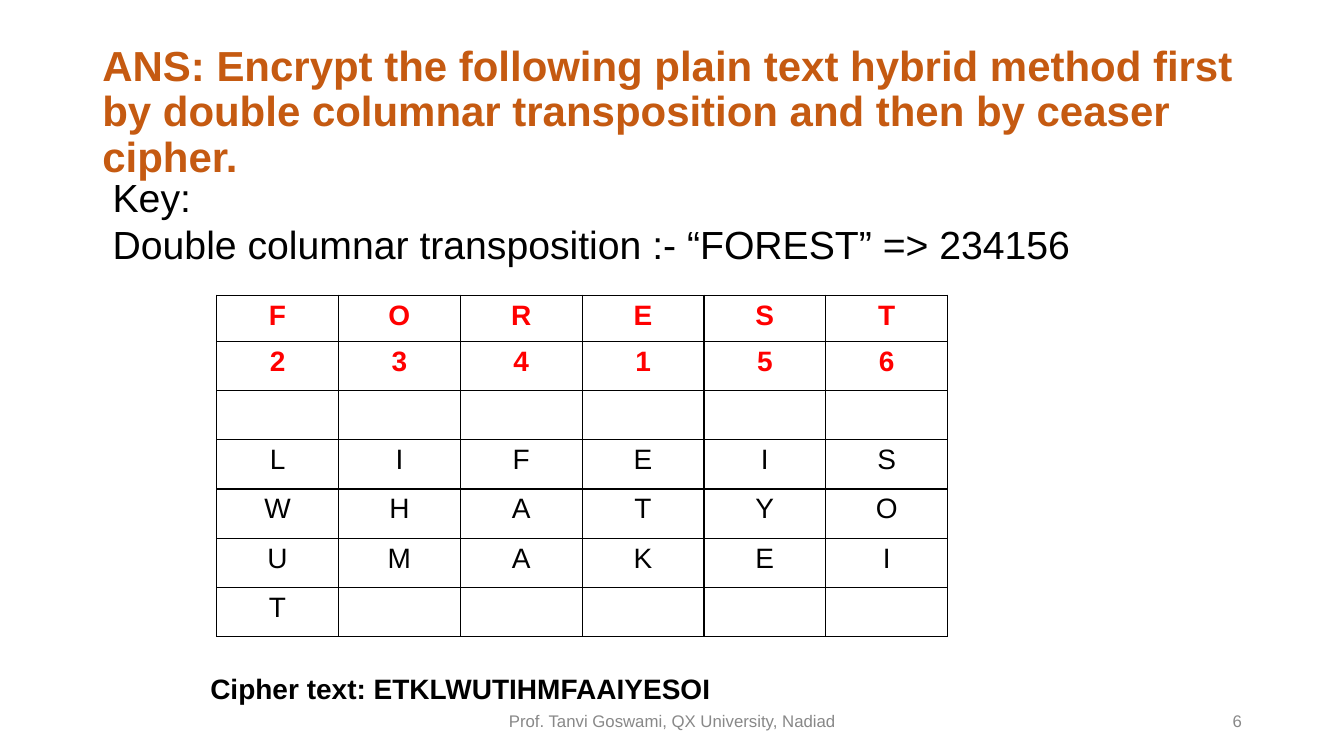
from dataclasses import dataclass

from lxml import etree
from pptx import Presentation
from pptx.dml.color import RGBColor
from pptx.enum.text import MSO_ANCHOR, PP_ALIGN
from pptx.oxml.ns import qn
from pptx.slide import Slide
from pptx.table import _Cell
from pptx.text.text import _Paragraph
from pptx.util import Cm, Pt

LEFT, MID, RIGHT, JUST = PP_ALIGN.LEFT, PP_ALIGN.CENTER, PP_ALIGN.RIGHT, PP_ALIGN.JUSTIFY
TOP, HALF = MSO_ANCHOR.TOP, MSO_ANCHOR.MIDDLE

COLORS = {"title": "C55A11", "key": "FF0000", "text": "000000", "foot": "888888"}
FONT = "Arial"
GRID = ["FOREST", "234156", "", "LIFEIS", "WHATYO", "UMAKEI", "T"]
HEADS = 2
COLS = 6
WIDE, HEAD, TALL = 3.07, 1.16, 1.24


@dataclass
class Style:
    size: float
    color: str
    bold: bool = False
    align: PP_ALIGN = LEFT
    space: float = 1.0


@dataclass
class Box:
    left: float
    top: float
    width: float
    height: float
    lines: list[str]
    style: Style
    anchor: MSO_ANCHOR = HALF


BOXES = [
    Box(2.33, 1.01, 29.21, 3.68,
        ["ANS: Encrypt the following plain text hybrid method first by double "
         "columnar transposition and then by ceaser cipher."],
        Style(30, "title", True, space=0.9)),
    Box(2.59, 4.24, 25.65, 2.64,
        ["Key:", "Double columnar transposition :- “FOREST” => 234156"],
        Style(28, "text", align=JUST)),
    Box(5.05, 16.79, 17.5, 1.11, ["Cipher text: ETKLWUTIHMFAAIYESOI"],
        Style(20, "text", True), TOP),
    Box(11.23, 17.65, 11.43, 1.01, ["Prof. Tanvi Goswami, QX University, Nadiad"],
        Style(12, "foot", align=MID)),
    Box(23.93, 17.65, 7.62, 1.01, ["6"], Style(12, "foot", align=RIGHT)),
]


def write(para: _Paragraph, text: str, style: Style) -> None:
    para.alignment = style.align
    para.line_spacing = style.space
    run = para.add_run()
    run.text = text
    form = {"name": FONT, "size": Pt(style.size), "bold": style.bold}
    for name, value in form.items():
        setattr(run.font, name, value)
    run.font.color.rgb = RGBColor.from_string(COLORS[style.color])


def add_box(slide: Slide, box: Box) -> None:
    shape = slide.shapes.add_textbox(
        Cm(box.left), Cm(box.top), Cm(box.width), Cm(box.height))
    frame = shape.text_frame
    form = {"word_wrap": True, "vertical_anchor": box.anchor}
    for name, value in form.items():
        setattr(frame, name, value)
    for i, line in enumerate(box.lines):
        para = frame.add_paragraph() if i else frame.paragraphs[0]
        write(para, line, box.style)


def rule(cell: _Cell) -> None:
    """Give the cell a thin black border on each side."""
    props = cell._tc.get_or_add_tcPr()
    for i, side in enumerate(("a:lnL", "a:lnR", "a:lnT", "a:lnB")):
        line = etree.Element(qn(side), w=str(Pt(1)))
        fill = etree.SubElement(line, qn("a:solidFill"))
        etree.SubElement(fill, qn("a:srgbClr"), val=COLORS["text"])
        props.insert(i, line)


def add_grid(slide: Slide) -> None:
    rows = len(GRID)
    frame = slide.shapes.add_table(
        rows, COLS, Cm(5.46), Cm(7.44), Cm(WIDE * COLS), Cm(HEAD + TALL * (rows - 1)))
    table = frame.table
    for name in ("first_row", "horz_banding"):
        setattr(table, name, False)
    for col in table.columns:
        col.width = Cm(WIDE)
    form = {"margin_left": Cm(0.18), "margin_right": Cm(0.18),
            "margin_top": 0, "margin_bottom": 0}
    for r, word in enumerate(GRID):
        table.rows[r].height = Cm(TALL if r else HEAD)
        head = r < HEADS
        style = Style(20, "key" if head else "text", head, MID, 1.15)
        for c in range(COLS):
            cell = table.cell(r, c)
            for name, value in form.items():
                setattr(cell, name, value)
            cell.fill.background()
            rule(cell)
            if c < len(word):
                write(cell.text_frame.paragraphs[0], word[c], style)


def main() -> None:
    deck = Presentation()
    deck.slide_width, deck.slide_height = Cm(33.87), Cm(19.05)
    slide = deck.slides.add_slide(deck.slide_layouts[6])
    add_grid(slide)
    for box in BOXES:
        add_box(slide, box)
    deck.save("out.pptx")


if __name__ == "__main__":
    main()
